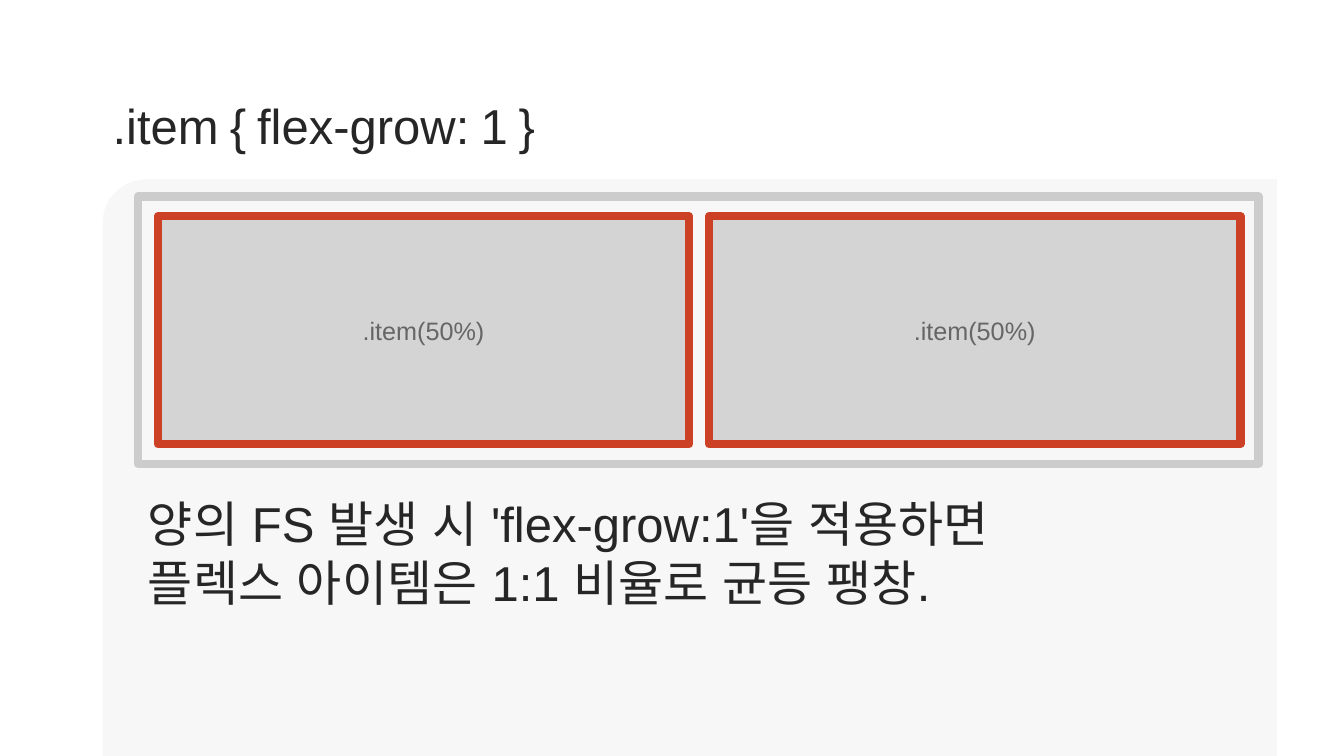
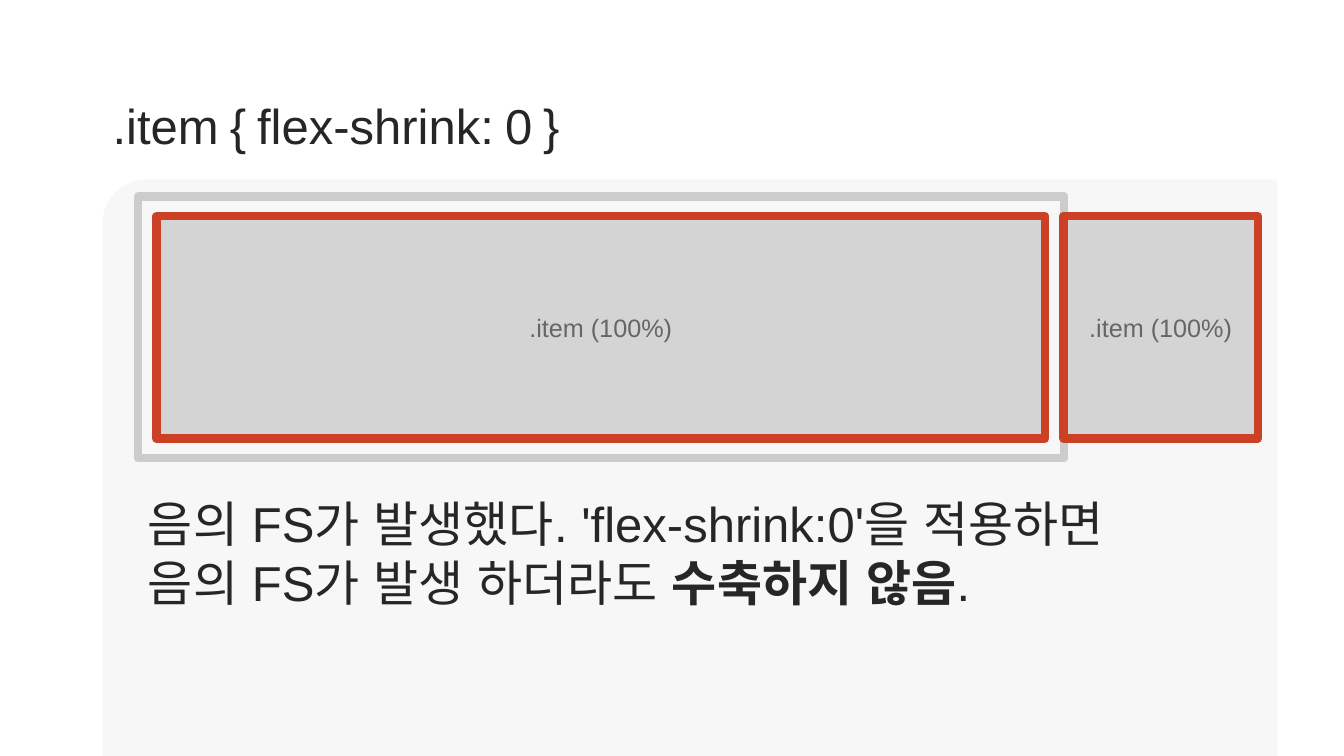
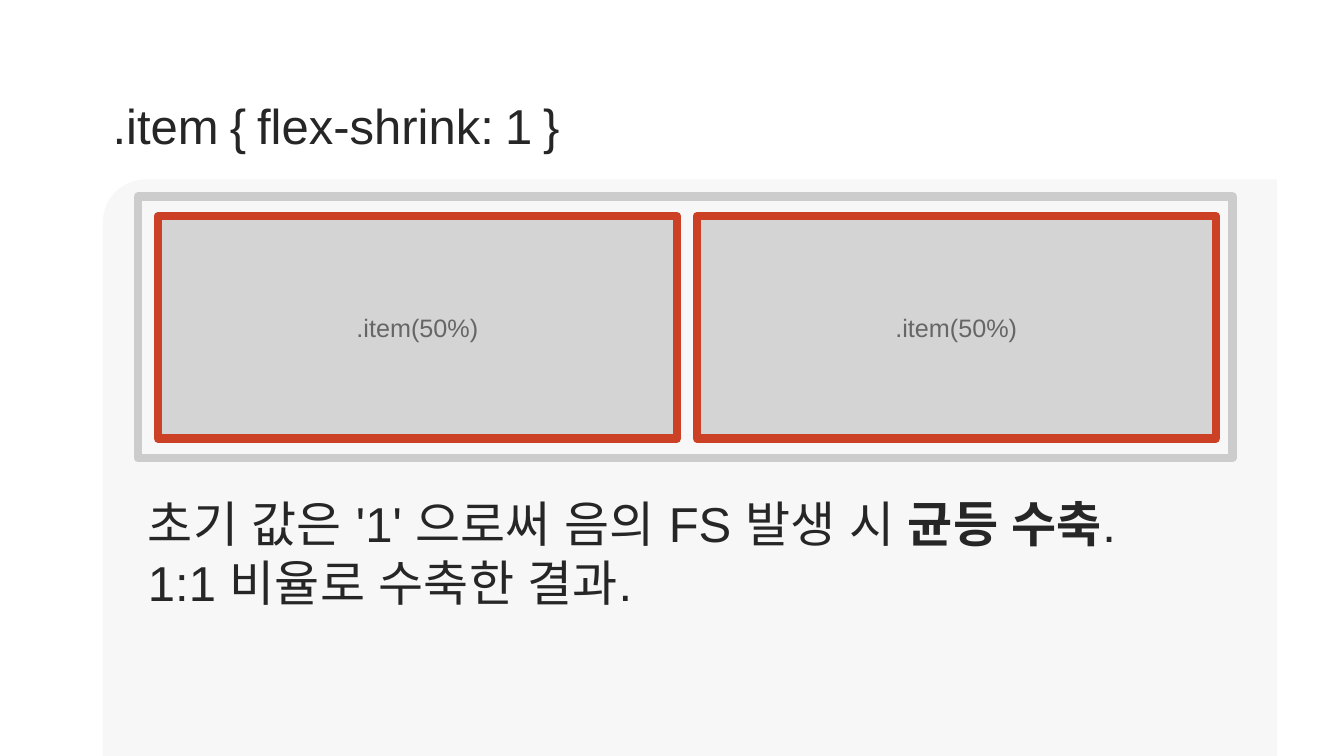
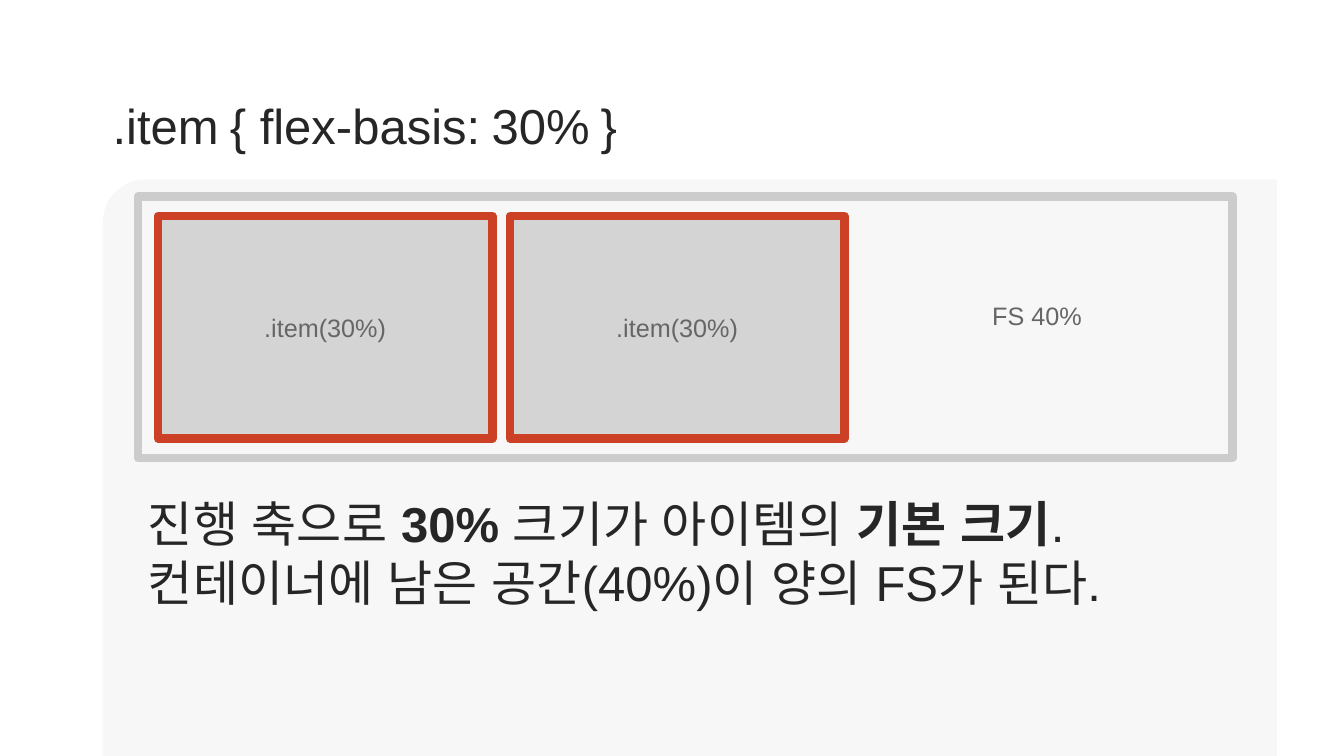
from pptx import Presentation
from pptx.dml.color import RGBColor
from pptx.enum.shapes import MSO_SHAPE
from pptx.enum.text import MSO_ANCHOR, PP_ALIGN
from pptx.oxml.ns import qn
from pptx.util import Cm, Pt
from lxml import etree

RECTANGLE, ROUND_ONE = MSO_SHAPE.RECTANGLE, MSO_SHAPE.ROUND_1_RECTANGLE
TOP, MIDDLE = MSO_ANCHOR.TOP, MSO_ANCHOR.MIDDLE
LEFT, CENTER = PP_ALIGN.LEFT, PP_ALIGN.CENTER

PANEL_GREY = RGBColor(0xF7, 0xF7, 0xF7)
BOX_GREY = RGBColor(0xCC, 0xCC, 0xCC)
ITEM_RED = RGBColor(0xCC, 0x41, 0x25)
LABEL_GREY = RGBColor(0x66, 0x66, 0x66)
TEXT_DARK = RGBColor(0x26, 0x26, 0x26)
FONT = "Arial"
TEXT_SIZE, SPACE_SIZE, LABEL_SIZE = 35, 28, 18

# Content: lengths in cm; title words are joined by small spaces;
# description lines hold (text, bold) pairs
SLIDES = [
    {
        "title": [".item", "{", "flex-grow:", "1", "}"],
        "container": 28.24, "item_height": 5.74, "inset": 0.5, "gap": 0.5,
        "items": [(".item(50%)", 13.39), (".item(50%)", 13.39)],
        "description": [
            [("양의 FS 발생 시 'flex-grow:1'을 적용하면", False)],
            [("플렉스 아이템은 1:1 비율로 균등 팽창.", False)],
        ],
    },
    {
        "title": [".item", "{", "flex-shrink:", "0", "}"],
        "container": 23.34, "item_height": 5.6, "inset": 0.46, "gap": 0.46,
        "items": [(".item (100%)", 22.4), (".item (100%)", 4.9)],
        "description": [
            [("음의 FS가 발생했다. 'flex-shrink:0'을 적용하면", False)],
            [("음의 FS가 발생 하더라도 ", False), ("수축하지 않음", True),
             (".", False)],
        ],
    },
    {
        "title": [".item", "{", "flex-shrink:", "1", "}"],
        "container": 27.58, "item_height": 5.6, "inset": 0.5, "gap": 0.5,
        "items": [(".item(50%)", 13.08), (".item(50%)", 13.08)],
        "description": [
            [("초기 값은 '1' 으로써 음의 FS 발생 시 ", False),
             ("균등 수축", True), (".", False)],
            [("1:1 비율로 수축한 결과.", False)],
        ],
    },
    {
        "title": [".item", "{ flex-basis:", "30%", "}"],
        "container": 27.58, "item_height": 5.6, "inset": 0.5, "gap": 0.44,
        "items": [(".item(30%)", 8.43), (".item(30%)", 8.43)],
        "free_space": "FS 40%",
        "description": [
            [("진행 축으로 ", False), ("30%", True),
             (" 크기가 아이템의 ", False), ("기본 크기", True), (".", False)],
            [("컨테이너에 남은 공간(40%)이 양의 FS가 된다.", False)],
        ],
    },
]

# Shared layout, in cm
SLIDE_W, SLIDE_H = 33.87, 19.05
PANEL = (2.59, 4.52, 29.59, 14.53)
TITLE = (2.59, 2.3, 31.27, 1.7)
DESCRIPTION = (3.48, 12.3, 28.68, 3.3)
FREE_SPACE = (23.47, 7.32, 5.33, 1.88)
CONTAINER_LEFT, CONTAINER_TOP, PADDING = 3.48, 4.95, 0.5
LINE_PITCH = 42


def add_run(paragraph, text, size, color, bold=False):
    run = paragraph.add_run()
    run.text = text
    run.font.size = Pt(size)
    run.font.name = FONT
    run.font.bold = bold
    run.font.color.rgb = color
    east_asian = etree.SubElement(run.font._element, qn("a:ea"))
    east_asian.set("typeface", FONT)


def set_frame(frame, anchor, inset_y):
    frame.word_wrap = True
    frame.vertical_anchor = anchor
    frame.margin_left = frame.margin_right = Cm(0.25)
    frame.margin_top = frame.margin_bottom = Cm(inset_y)


def add_text(shapes, box, anchor, inset_y=0.13):
    frame = shapes.add_textbox(*map(Cm, box)).text_frame
    set_frame(frame, anchor, inset_y)
    return frame


def add_label(frame, text):
    paragraph = frame.paragraphs[0]
    paragraph.alignment = CENTER
    add_run(paragraph, text, LABEL_SIZE, LABEL_GREY)


def add_outlined(shapes, box, color):
    outlined = shapes.add_shape(RECTANGLE, *map(Cm, box))
    outlined.shadow.inherit = False
    outlined.fill.background()
    outlined.line.color.rgb = color
    outlined.line.width = Pt(6)
    etree.SubElement(outlined.element.spPr.find(qn("a:ln")), qn("a:round"))
    return outlined


def add_item(shapes, box, label):
    item = add_outlined(shapes, box, ITEM_RED)
    item.fill.solid()
    item.fill.fore_color.rgb = BOX_GREY
    color = item.element.spPr.find(qn("a:solidFill"))[0]
    etree.SubElement(color, qn("a:alpha")).set("val", "80000")
    set_frame(item.text_frame, MIDDLE, 0.25)
    add_label(item.text_frame, label)


def add_panel(slide):
    panel = slide.shapes.add_shape(ROUND_ONE, *map(Cm, PANEL))
    panel.adjustments[0] = 0.075
    panel.element.spPr.find(qn("a:xfrm")).set("flipH", "1")
    panel.shadow.inherit = False
    panel.fill.solid()
    panel.fill.fore_color.rgb = PANEL_GREY
    panel.line.fill.background()


def add_diagram(slide, content):
    shapes = slide.shapes.add_group_shape().shapes
    height = content["item_height"]
    add_outlined(shapes, (CONTAINER_LEFT, CONTAINER_TOP, content["container"],
                          height + 2 * PADDING), BOX_GREY)
    left = CONTAINER_LEFT + content["inset"]
    for label, width in content["items"]:
        add_item(shapes, (left, CONTAINER_TOP + PADDING, width, height), label)
        left += width + content["gap"]
    if "free_space" in content:
        add_label(add_text(shapes, FREE_SPACE, TOP, 0.25),
                  content["free_space"])


def add_title(slide, words):
    paragraph = add_text(slide.shapes, TITLE, MIDDLE).paragraphs[0]
    paragraph.alignment = LEFT
    paragraph.line_spacing = Pt(LINE_PITCH)
    for index, word in enumerate(words):
        if index:
            add_run(paragraph, " ", SPACE_SIZE, TEXT_DARK)
        add_run(paragraph, word, TEXT_SIZE, TEXT_DARK)


def add_description(slide, lines):
    frame = add_text(slide.shapes, DESCRIPTION, TOP)
    for index, line in enumerate(lines):
        paragraph = frame.add_paragraph() if index else frame.paragraphs[0]
        paragraph.alignment = LEFT
        paragraph.line_spacing = Pt(LINE_PITCH)
        for text, bold in line:
            add_run(paragraph, text, TEXT_SIZE, TEXT_DARK, bold)


def main():
    deck = Presentation()
    deck.slide_width, deck.slide_height = Cm(SLIDE_W), Cm(SLIDE_H)
    for content in SLIDES:
        slide = deck.slides.add_slide(deck.slide_layouts[6])
        add_panel(slide)
        add_diagram(slide, content)
        add_title(slide, content["title"])
        add_description(slide, content["description"])
    deck.save("out.pptx")


if __name__ == "__main__":
    main()
